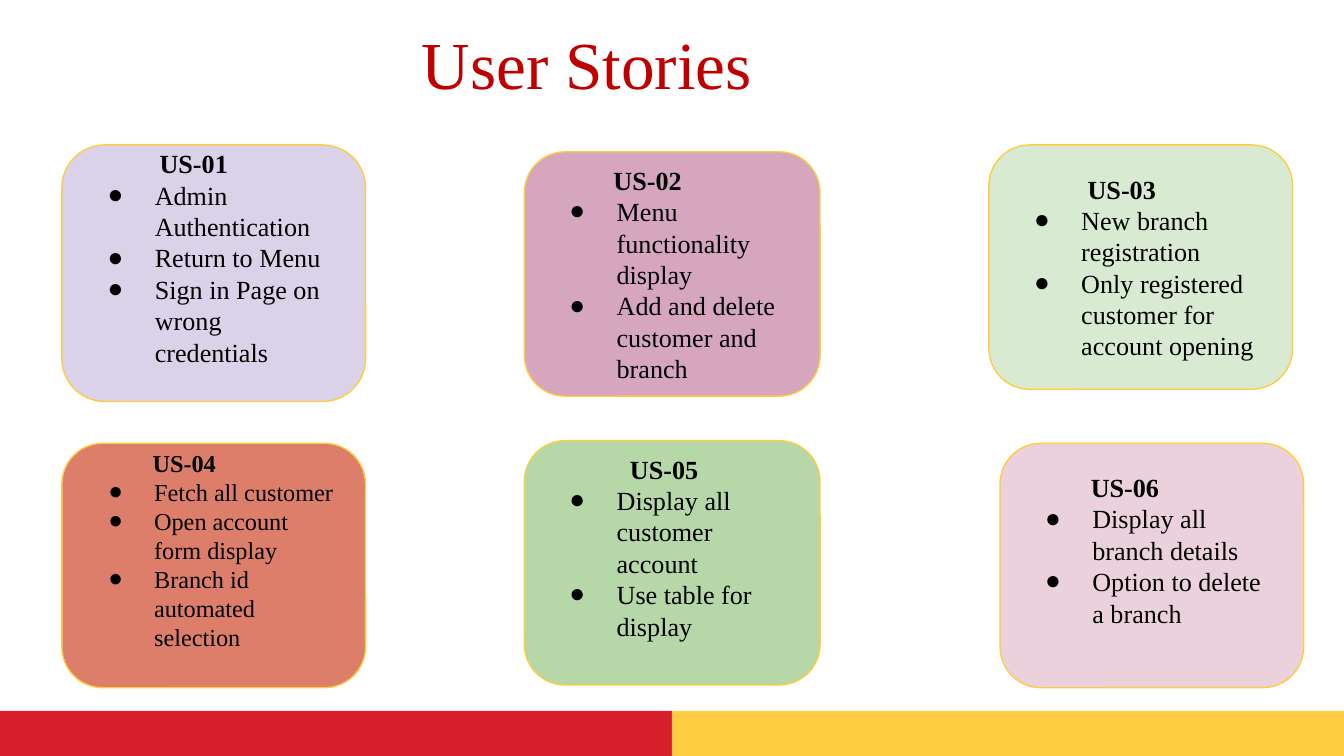
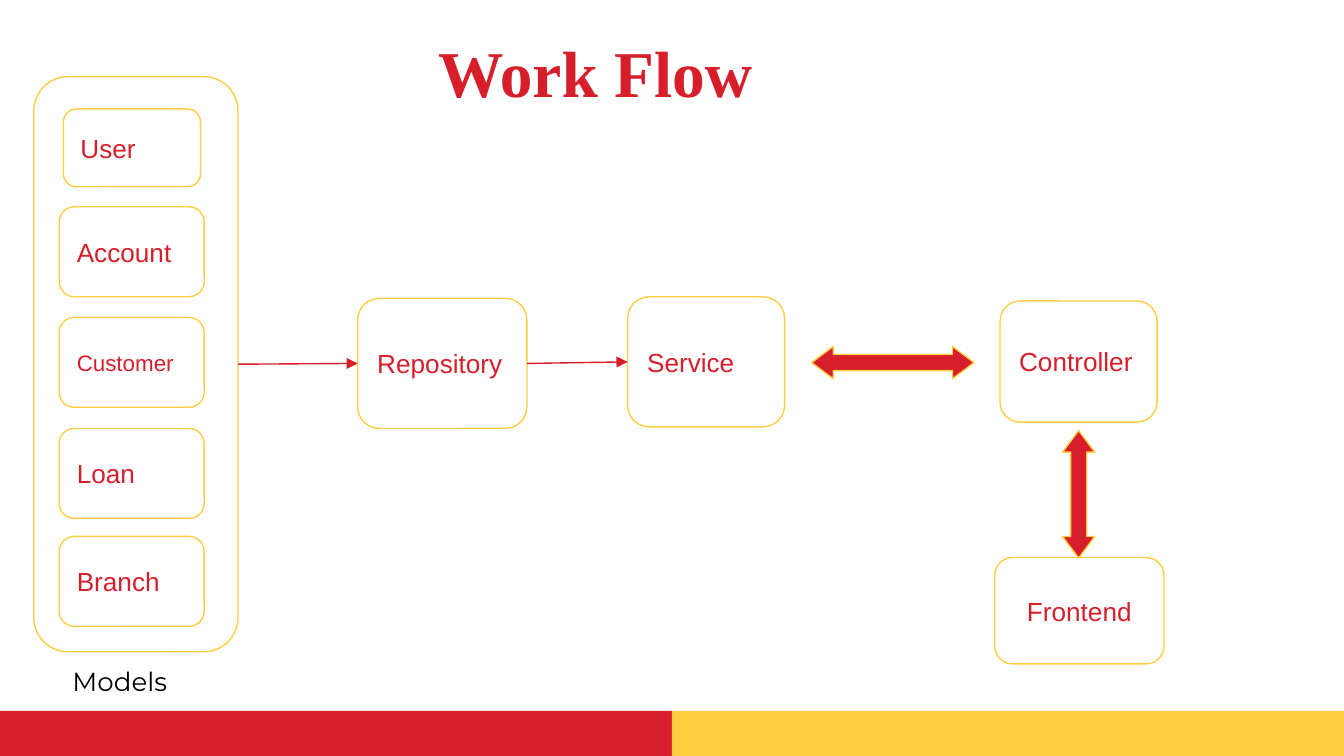
from collections import namedtuple

from lxml.etree import SubElement
from pptx import Presentation
from pptx.dml.color import RGBColor
from pptx.enum.shapes import MSO_CONNECTOR, MSO_SHAPE
from pptx.enum.text import MSO_ANCHOR, PP_ALIGN
from pptx.oxml.ns import qn
from pptx.util import Cm, Pt

RED = RGBColor(0xD7, 0x1E, 0x2B)
DARK_RED = RGBColor(0xC0, 0x00, 0x00)
YELLOW = RGBColor(0xFF, 0xCD, 0x41)
BLACK = RGBColor(0x00, 0x00, 0x00)
WHITE = RGBColor(0xFF, 0xFF, 0xFF)
LAVENDER = RGBColor(0xD9, 0xD2, 0xE9)
MAUVE = RGBColor(0xD5, 0xA6, 0xBD)
PALE_GREEN = RGBColor(0xD9, 0xEA, 0xD3)
TERRACOTTA = RGBColor(0xDD, 0x7E, 0x6B)
GREEN = RGBColor(0xB6, 0xD7, 0xA8)
PINK = RGBColor(0xEA, 0xD1, 0xDC)

SERIF = "Times New Roman"
SANS = "Arial"
DISPLAY = "Montserrat"

SLIDE_WIDTH, SLIDE_HEIGHT = 25.4, 14.29
BAND_HEIGHT = 0.85
INSET = 0.25
LINE_FACTOR = 1.2

Box = namedtuple("Box", "left top width height")
Story = namedtuple("Story", "box fill code indent items size spare_line")

STORIES = [
    Story(Box(1.17, 2.74, 5.74, 4.85), LAVENDER, "US-01", 1.36,
          ["Admin Authentication", "Return to Menu",
           "Sign in Page on wrong credentials"], 14, True),
    Story(Box(1.17, 8.38, 5.74, 4.62), TERRACOTTA, "US-04", 1.24,
          ["Fetch all customer", "Open account form display",
           "Branch id automated selection"], 13, True),
    Story(Box(18.69, 2.74, 5.74, 4.62), PALE_GREEN, "US-03", 1.39,
          ["New branch registration",
           "Only registered customer for account opening"], 14, False),
    Story(Box(18.9, 8.38, 5.74, 4.62), PINK, "US-06", 1.24,
          ["Display all branch details", "Option to delete a branch"], 14, True),
    Story(Box(9.91, 2.87, 5.59, 4.62), MAUVE, "US-02", 1.21,
          ["Menu functionality display",
           "Add and delete customer and branch"], 14, False),
    Story(Box(9.91, 8.33, 5.59, 4.62), GREEN, "US-05", 1.52,
          ["Display all customer account", "Use table for display"], 14, True),
]

MODELS = [
    ("User", Box(0.56, 0.61, 2.59, 1.47), 14),
    ("Account", Box(0.48, 2.46, 2.74, 1.7), 14),
    ("Customer", Box(0.48, 4.55, 2.74, 1.7), 12),
    ("Loan", Box(0.48, 6.65, 2.74, 1.7), 14),
    ("Branch", Box(0.48, 8.69, 2.74, 1.7), 14),
]


def lengths(box):
    """Return the four sides of a box as slide lengths."""
    return [Cm(value) for value in box]


def set_insets(frame):
    """Wrap the text and give it equal insets."""
    frame.word_wrap = True
    frame.margin_left = frame.margin_right = Cm(INSET)
    frame.margin_top = frame.margin_bottom = Cm(INSET)


def add_run(paragraph, text, font_name, size, color, bold=False):
    """Append one formatted run to a paragraph."""
    run = paragraph.add_run()
    run.text = text
    run.font.name = font_name
    run.font.size = Pt(size)
    run.font.color.rgb = color
    run.font.bold = bold


def add_outlined_shape(slide, kind, box, fill, line=YELLOW):
    """Add a flat preset shape, with a thin outline unless line is None."""
    shape = slide.shapes.add_shape(kind, *lengths(box))
    shape.shadow.inherit = False
    shape.fill.solid()
    shape.fill.fore_color.rgb = fill
    if line is None:
        shape.line.fill.background()
    else:
        shape.line.color.rgb = line
        shape.line.width = Pt(0.75)
    set_insets(shape.text_frame)
    shape.text_frame.vertical_anchor = MSO_ANCHOR.MIDDLE
    return shape


def add_label(slide, box, text, font_name, size, color, bold=False):
    """Add a one-line text box."""
    frame = slide.shapes.add_textbox(*lengths(box)).text_frame
    set_insets(frame)
    add_run(frame.paragraphs[0], text, font_name, size, color, bold)


def add_bands(slide):
    """Add the red and yellow halves of the footer band."""
    half = SLIDE_WIDTH / 2
    for column, color in enumerate((RED, YELLOW)):
        box = Box(column * half, SLIDE_HEIGHT - BAND_HEIGHT, half, BAND_HEIGHT)
        add_outlined_shape(slide, MSO_SHAPE.RECTANGLE, box, color, None)


def add_bullet(paragraph, size):
    """Give a paragraph a hanging round bullet."""
    properties = paragraph._p.get_or_add_pPr()
    properties.set("marL", str(Cm(1.27)))
    properties.set("indent", str(-Cm(0.5 + size * 0.028)))
    color = SubElement(properties, qn("a:buClr"))
    SubElement(color, qn("a:srgbClr"), val=str(BLACK))
    SubElement(properties, qn("a:buFont"), typeface=SERIF)
    SubElement(properties, qn("a:buChar"), char="●")


def add_story(slide, story):
    """Add a card with a bold code and its bulleted items."""
    card = add_outlined_shape(slide, MSO_SHAPE.ROUNDED_RECTANGLE, story.box, story.fill)
    frame = card.text_frame
    if story.spare_line:
        frame.margin_bottom = Cm(INSET) + Pt(14 * LINE_FACTOR)
    heading = frame.paragraphs[0]
    heading._p.get_or_add_pPr().set("marL", str(Cm(story.indent)))
    add_run(heading, story.code, SERIF, story.size, BLACK, True)
    for item in story.items:
        paragraph = frame.add_paragraph()
        add_run(paragraph, item, SERIF, story.size, BLACK)
    for paragraph in frame.paragraphs:
        paragraph.alignment = PP_ALIGN.LEFT
        paragraph.line_spacing = Pt(story.size * LINE_FACTOR)
    for paragraph in frame.paragraphs[1:]:
        add_bullet(paragraph, story.size)


def add_step(slide, box, text, size=14, alignment=PP_ALIGN.LEFT):
    """Add a white rounded box naming one part of the flow."""
    step = add_outlined_shape(slide, MSO_SHAPE.ROUNDED_RECTANGLE, box, WHITE)
    paragraph = step.text_frame.paragraphs[0]
    paragraph.alignment = alignment
    add_run(paragraph, text, SANS, size, RED)
    return step


def add_models(slide, box):
    """Add the models panel with its entries and caption."""
    panel = add_outlined_shape(slide, MSO_SHAPE.ROUNDED_RECTANGLE, box, WHITE)
    for name, offset, size in MODELS:
        entry = offset._replace(left=box.left + offset.left, top=box.top + offset.top)
        add_step(slide, entry, name, size)
    caption = Box(box.left + 0.48, box.top + box.height, 3.15, 1.12)
    add_label(slide, caption, "Models", DISPLAY, 14, BLACK)
    return panel


def add_arrow(slide, source, target):
    """Connect the right side of one shape to the left side of another."""
    connector = slide.shapes.add_connector(MSO_CONNECTOR.STRAIGHT, 0, 0, 0, 0)
    connector.begin_connect(source, 3)
    connector.end_connect(target, 1)
    connector.line.color.rgb = RED
    connector.line.width = Pt(0.75)
    SubElement(connector.line._get_or_add_ln(), qn("a:tailEnd"), type="triangle")
    SubElement(connector._element.spPr, qn("a:effectLst"))


def add_double_arrow(slide, box, rotation=0):
    """Add a red block arrow pointing both ways."""
    arrow = add_outlined_shape(slide, MSO_SHAPE.LEFT_RIGHT_ARROW, box, RED)
    arrow.adjustments[0] = 0.5
    arrow.adjustments[1] = 0.67
    arrow.rotation = rotation


def add_slide(presentation):
    """Add a blank slide with the footer bands."""
    slide = presentation.slides.add_slide(presentation.slide_layouts[6])
    add_bands(slide)
    return slide


def build_user_stories(presentation):
    """Build the slide of user story cards."""
    slide = add_slide(presentation)
    add_label(slide, Box(7.72, 0.18, 8.94, 2.06), "User Stories", SERIF, 36, DARK_RED)
    for story in STORIES:
        add_story(slide, story)


def build_work_flow(presentation):
    """Build the slide showing the flow from models to frontend."""
    slide = add_slide(presentation)
    add_label(slide, Box(8.03, 0.36, 8.86, 2.01), "Work Flow", SERIF, 35, RED, True)
    models = add_models(slide, Box(0.64, 1.45, 3.86, 10.87))
    repository = add_step(slide, Box(6.76, 5.64, 3.2, 2.46), "Repository")
    service = add_step(slide, Box(11.86, 5.61, 2.97, 2.46), "Service")
    add_step(slide, Box(18.9, 5.69, 2.97, 2.29), "Controller")
    add_step(slide, Box(18.8, 10.54, 3.2, 2.01), "Frontend", alignment=PP_ALIGN.CENTER)
    add_arrow(slide, models, repository)
    add_arrow(slide, repository, service)
    add_double_arrow(slide, Box(15.34, 6.55, 3.07, 0.61))
    add_double_arrow(slide, Box(19.18, 9.04, 2.41, 0.61), 90)


def main():
    """Build and save the presentation."""
    presentation = Presentation()
    presentation.slide_width = Cm(SLIDE_WIDTH)
    presentation.slide_height = Cm(SLIDE_HEIGHT)
    build_user_stories(presentation)
    build_work_flow(presentation)
    presentation.save("out.pptx")


if __name__ == "__main__":
    main()
